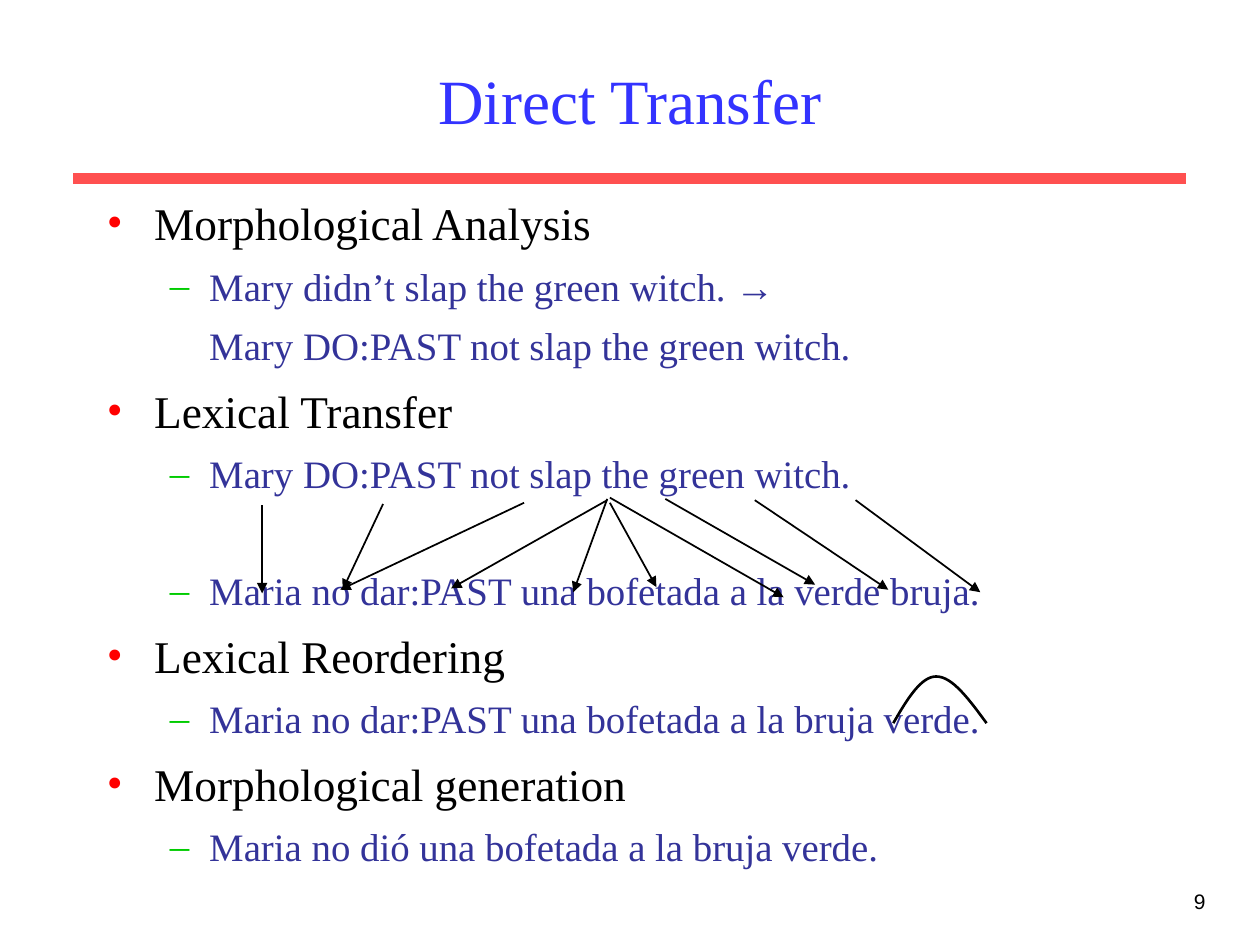
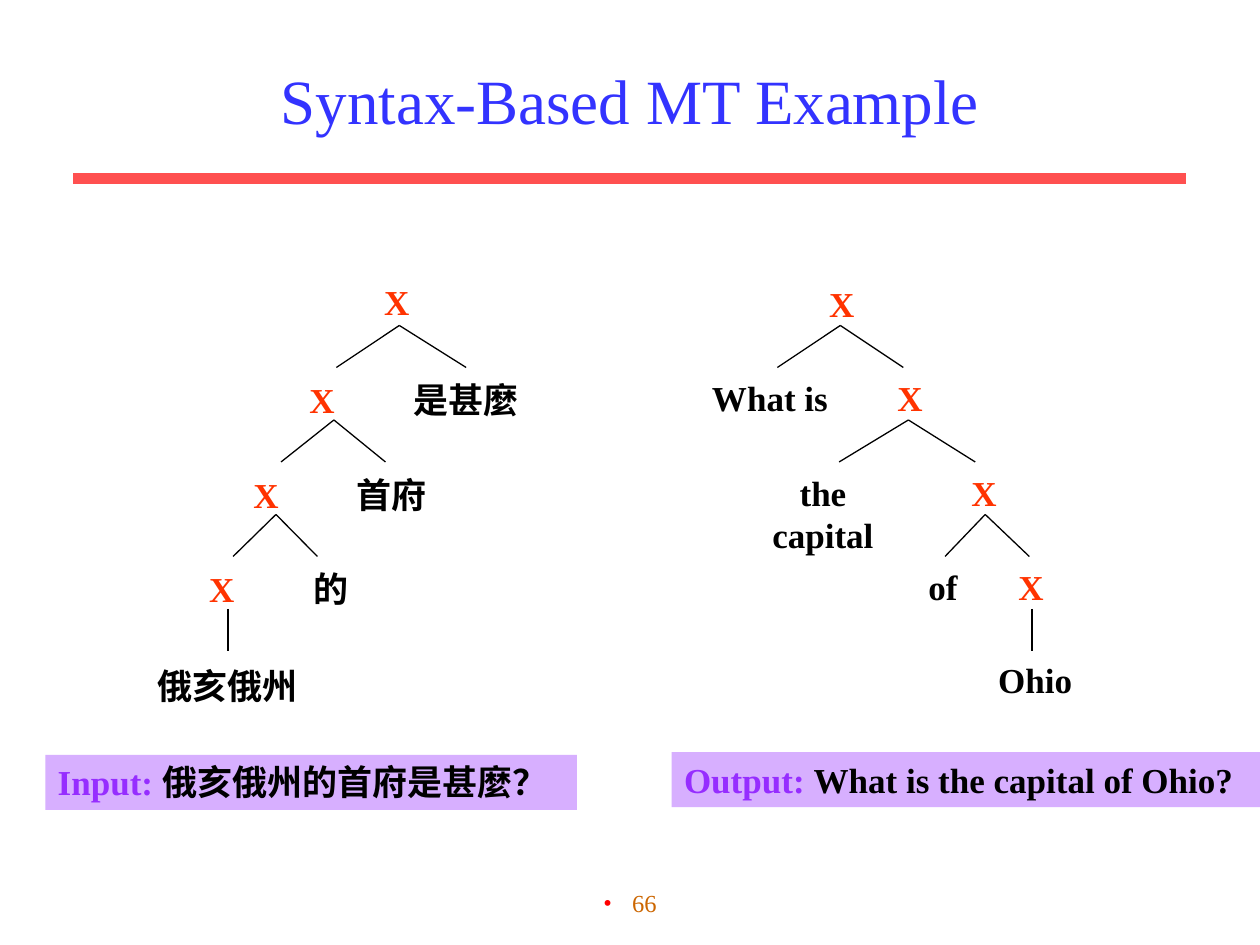
from dataclasses import dataclass

from lxml import etree
from pptx import Presentation
from pptx.dml.color import RGBColor
from pptx.enum.shapes import MSO_CONNECTOR, MSO_SHAPE
from pptx.enum.text import MSO_ANCHOR, PP_ALIGN
from pptx.oxml.ns import qn
from pptx.util import Pt

STRAIGHT = MSO_CONNECTOR.STRAIGHT
RECTANGLE = MSO_SHAPE.RECTANGLE
LEFT, CENTER, RIGHT = PP_ALIGN.LEFT, PP_ALIGN.CENTER, PP_ALIGN.RIGHT
TOP, MIDDLE = MSO_ANCHOR.TOP, MSO_ANCHOR.MIDDLE

BLACK = RGBColor(0x00, 0x00, 0x00)
TITLE_BLUE = RGBColor(0x33, 0x33, 0xFF)
RULE_RED = RGBColor(0xFF, 0x50, 0x50)
DETAIL_BLUE = RGBColor(0x33, 0x33, 0x99)
BULLET_RED = RGBColor(0xFF, 0x00, 0x00)
DASH_GREEN = RGBColor(0x00, 0xCC, 0x00)
PAGE_ORANGE = RGBColor(0xCC, 0x66, 0x00)
NODE_RED = RGBColor(0xFF, 0x33, 0x00)
LILAC = RGBColor(0xD7, 0xAF, 0xFF)
VIOLET = RGBColor(0x96, 0x2D, 0xFF)

SERIF = "Times New Roman"
SANS = "Arial"
ROW_STEP = 54
LABEL_WIDTH = 100
LABEL_HEIGHT = 31.5


@dataclass(frozen=True)
class Area:
    left: float
    top: float
    width: float
    height: float

    def lengths(self) -> tuple:
        return Pt(self.left), Pt(self.top), Pt(self.width), Pt(self.height)


@dataclass(frozen=True)
class Style:
    size: float
    color: RGBColor
    bold: bool = False
    font: str = SERIF


@dataclass(frozen=True)
class Level:
    style: Style
    margin: float
    indent: float
    space: float
    bullet: str = ""
    bullet_color: RGBColor = BULLET_RED


@dataclass(frozen=True)
class Line:
    text: str
    level: Level
    extra_space: float = 0


@dataclass(frozen=True)
class Segment:
    x1: float
    y1: float
    x2: float
    y2: float


@dataclass(frozen=True)
class Label:
    text: str
    center: float
    row: int


@dataclass(frozen=True)
class Branch:
    apex: float
    ends: tuple[float, ...]


@dataclass(frozen=True)
class Tree:
    row_tops: tuple[float, ...]
    labels: tuple[Label, ...]
    branches: tuple[Branch, ...]


@dataclass(frozen=True)
class Banner:
    area: Area
    caption: str
    sentence: str
    wraps: bool


TITLE = Style(36, TITLE_BLUE)
NODE = Style(20, NODE_RED, True)
WORD = Style(20, BLACK, True)
CAPTION = Style(20, VIOLET, True)

STEP = Level(Style(25.9, BLACK), 27, -27, 8.2, "•")
DETAIL = Level(Style(22.2, DETAIL_BLUE), 58.5, -22.5, 7.3, "–", DASH_GREEN)
RESULT = Level(DETAIL.style, 58.5, 0, 7.3)
PAGE_66 = Level(Style(14, PAGE_ORANGE), 16.5, -16.5, 0, "•")

STEPS = (
    Line("Morphological Analysis", STEP),
    Line("Mary didn’t slap the green witch. →", DETAIL),
    Line("Mary DO:PAST not slap the green witch.", RESULT),
    Line("Lexical Transfer", STEP),
    Line("Mary DO:PAST not slap the green witch.", DETAIL),
    Line("Maria no dar:PAST una bofetada a la verde bruja.", DETAIL, 32.8),
    Line("Lexical Reordering", STEP),
    Line("Maria no dar:PAST una bofetada a la bruja verde.", DETAIL),
    Line("Morphological generation", STEP),
    Line("Maria no dió una bofetada a la bruja verde.", DETAIL),
)

WORD_ARROWS = (
    Segment(149.8, 288.7, 149.8, 339.1),
    Segment(299.5, 287.3, 194.4, 337),
    Segment(218.9, 288, 195.8, 337),
    Segment(347, 285.1, 327.6, 338.4),
    Segment(348.5, 287.3, 375.1, 335.5),
    Segment(348.5, 284.4, 447.8, 341.3),
    Segment(380.2, 285.1, 465.8, 334.1),
    Segment(431.3, 285.8, 507.6, 337),
    Segment(488.9, 285.8, 560.2, 338.4),
    Segment(347, 285.8, 257.8, 336.2),
)

SWAP_CURVES = (
    ((510.5, 413.3), (518.4, 399.6), (526.3, 386.6), (535, 386.6)),
    ((535, 386.6), (544.3, 386.6), (553.7, 399.6), (563.8, 413.3)),
)

SOURCE_TREE = Tree(
    (157, 213, 267, 321, 376),
    (Label("X", 226.8, 0), Label("X", 184, 1), Label("是甚麼", 266.3, 1),
     Label("X", 152, 2), Label("首府", 224, 2), Label("X", 126.7, 3),
     Label("的", 189, 3), Label("俄亥俄州", 130.3, 4)),
    (Branch(228.2, (192.2, 266.4)), Branch(190.8, (160.6, 220.3)),
     Branch(157.7, (133.2, 181.4)), Branch(130.3, (130.3,))),
)
TARGET_TREE = Tree(
    (157.7, 211.7, 265.7, 319.7, 373),
    (Label("X", 481, 0), Label("What is", 440, 1), Label("X", 520, 1),
     Label("the capital", 470.3, 2), Label("X", 562.3, 2),
     Label("of", 538.9, 3), Label("X", 589.2, 3), Label("Ohio", 591.6, 4)),
    (Branch(480.2, (444.2, 516.2)), Branch(519.1, (479.5, 557.3)),
     Branch(563, (540, 588.2)), Branch(589.7, (589.7,))),
)

BANNERS = (
    Banner(Area(25.9, 431.3, 303.8, 31.5), "Input: ", "俄亥俄州的首府是甚麼？", False),
    Banner(Area(383.8, 429.8, 336.2, 31.5), "Output: ", "What is the capital of Ohio?", True),
)


def add_span(para, text: str, style: Style) -> None:
    span = para.add_run()
    span.text = text
    span.font.name = style.font
    span.font.size = Pt(style.size)
    span.font.bold = style.bold
    span.font.color.rgb = style.color


def add_box(slide, area: Area, anchor=TOP, wraps: bool = True):
    frame = slide.shapes.add_textbox(*area.lengths()).text_frame
    frame.word_wrap = wraps
    frame.vertical_anchor = anchor
    return frame


def add_text(slide, area: Area, text: str, style: Style, align=CENTER,
             anchor=TOP, wraps: bool = True) -> None:
    para = add_box(slide, area, anchor, wraps).paragraphs[0]
    para.alignment = align
    add_span(para, text, style)


def set_level(para, level: Level) -> None:
    properties = para._p.get_or_add_pPr()
    properties.set("marL", str(Pt(level.margin)))
    properties.set("indent", str(Pt(level.indent)))
    if level.bullet:
        color = etree.SubElement(properties, qn("a:buClr"))
        etree.SubElement(color, qn("a:srgbClr"), val=str(level.bullet_color))
        etree.SubElement(properties, qn("a:buFont"), typeface=SERIF)
        etree.SubElement(properties, qn("a:buChar"), char=level.bullet)
    else:
        etree.SubElement(properties, qn("a:buNone"))


def add_line(slide, segment: Segment, color: RGBColor, width: float,
             arrow: bool = False) -> None:
    line = slide.shapes.add_connector(
        STRAIGHT, Pt(segment.x1), Pt(segment.y1), Pt(segment.x2), Pt(segment.y2))
    line.line.color.rgb = color
    line.line.width = Pt(width)
    if arrow:
        etree.SubElement(line.line._get_or_add_ln(), qn("a:tailEnd"), type="triangle")
    etree.SubElement(line._element.spPr, qn("a:effectLst"))


def add_titled_slide(deck, title: str):
    slide = deck.slides.add_slide(deck.slide_layouts[6])
    add_line(slide, Segment(42, 102, 678, 102), RULE_RED, 6)
    add_text(slide, Area(54, 18, 612, 78), title, TITLE, anchor=MIDDLE)
    return slide


def add_steps(slide) -> None:
    frame = add_box(slide, Area(54, 108, 612, 369))
    for index, line in enumerate(STEPS):
        para = frame.add_paragraph() if index else frame.paragraphs[0]
        set_level(para, line.level)
        if index:
            para.space_before = Pt(line.level.space + line.extra_space)
        add_span(para, line.text, line.level.style)


def curve_points(controls: tuple, pieces: int = 16) -> list[tuple]:
    points = []
    for piece in range(1, pieces + 1):
        t = piece / pieces
        weights = ((1 - t) ** 3, 3 * t * (1 - t) ** 2, 3 * t ** 2 * (1 - t), t ** 3)
        points.append(tuple(
            Pt(sum(weight * control[axis] for weight, control in zip(weights, controls)))
            for axis in (0, 1)))
    return points


def add_swap_arc(slide) -> None:
    start_x, start_y = SWAP_CURVES[0][0]
    builder = slide.shapes.build_freeform(Pt(start_x), Pt(start_y))
    for controls in SWAP_CURVES:
        builder.add_line_segments(curve_points(controls), close=False)
    arc = builder.convert_to_shape()
    arc.shadow.inherit = False
    arc.fill.background()
    arc.line.color.rgb = BLACK
    arc.line.width = Pt(1.5)


def add_tree(slide, tree: Tree) -> None:
    for label in tree.labels:
        area = Area(label.center - LABEL_WIDTH / 2, tree.row_tops[label.row],
                    LABEL_WIDTH, LABEL_HEIGHT)
        add_text(slide, area, label.text, NODE if label.text == "X" else WORD, wraps=False)
    for row, branch in enumerate(tree.branches):
        top = 186 + ROW_STEP * row
        for end in branch.ends:
            add_line(slide, Segment(branch.apex, top, end, top + 24), BLACK, 0.75)


def add_banner(slide, banner: Banner) -> None:
    shape = slide.shapes.add_shape(RECTANGLE, *banner.area.lengths())
    shape.shadow.inherit = False
    shape.fill.solid()
    shape.fill.fore_color.rgb = LILAC
    shape.line.fill.background()
    frame = shape.text_frame
    frame.word_wrap = banner.wraps
    frame.vertical_anchor = TOP
    para = frame.paragraphs[0]
    para.alignment = LEFT
    add_span(para, banner.caption, CAPTION)
    add_span(para, banner.sentence, WORD)


def build_direct_transfer(deck) -> None:
    slide = add_titled_slide(deck, "Direct Transfer")
    add_steps(slide)
    add_text(slide, Area(546, 504, 150, 36), "9", Style(12, BLACK, font=SANS), RIGHT)
    add_swap_arc(slide)
    for segment in WORD_ARROWS:
        add_line(slide, segment, BLACK, 1, arrow=True)


def build_syntax_example(deck) -> None:
    slide = add_titled_slide(deck, "Syntax-Based MT Example")
    para = add_box(slide, Area(246, 504, 228, 36)).paragraphs[0]
    set_level(para, PAGE_66)
    para.alignment = CENTER
    add_span(para, "66", PAGE_66.style)
    for tree in (SOURCE_TREE, TARGET_TREE):
        add_tree(slide, tree)
    for banner in BANNERS:
        add_banner(slide, banner)


def main() -> None:
    deck = Presentation()
    deck.slide_width, deck.slide_height = Pt(720), Pt(540)
    build_direct_transfer(deck)
    build_syntax_example(deck)
    deck.save("out.pptx")


if __name__ == "__main__":
    main()
